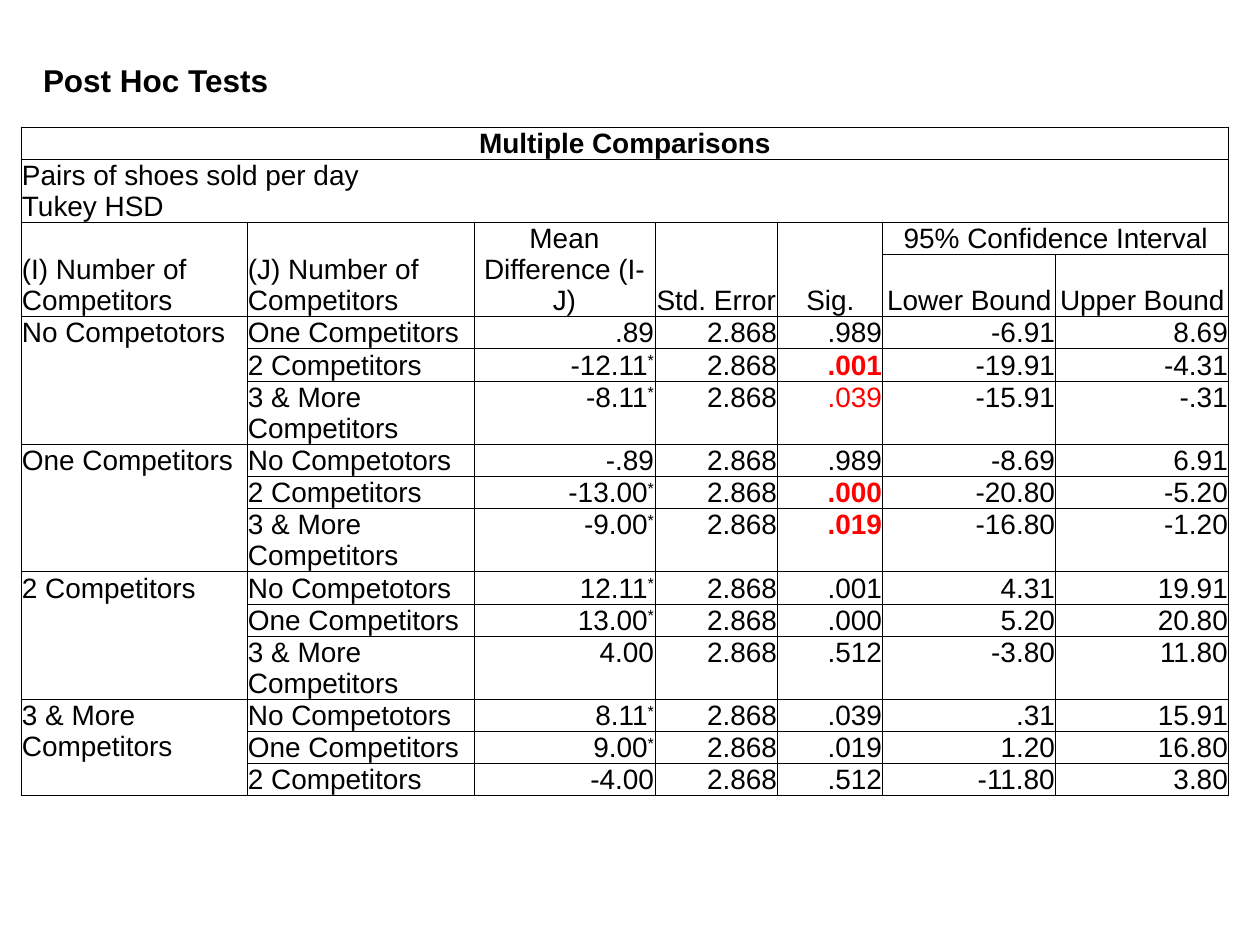
"""Build the slide of post hoc multiple comparisons."""
from dataclasses import dataclass

from lxml import etree
from pptx import Presentation
from pptx.dml.color import RGBColor
from pptx.enum.text import MSO_ANCHOR, PP_ALIGN
from pptx.oxml.ns import qn
from pptx.util import Emu, Pt

LEFT, CENTER, RIGHT = PP_ALIGN.LEFT, PP_ALIGN.CENTER, PP_ALIGN.RIGHT
TOP, MIDDLE, BOTTOM = MSO_ANCHOR.TOP, MSO_ANCHOR.MIDDLE, MSO_ANCHOR.BOTTOM
PX_PER_INCH = 126
BLANK = 6


@dataclass(frozen=True)
class Theme:
    font: str = "Arial"
    ink: str = "000000"
    accent: str = "FF0000"
    title_size: int = 18
    body_size: int = 16
    border: float = 0.5


COLUMNS = [226, 227, 181, 123, 105, 173, 173]
LINE = 24
HEADER_ROWS = [LINE, 35, LINE, 39]
STD_ERROR = "2.868"
ALPHA = 0.05
HIGHLIGHTED_GROUPS = 2
LIGHT_SIG = ".039"

HEADINGS = [
    (2, 0, 3, 0, "(I) Number of Competitors", LEFT),
    (2, 1, 3, 1, "(J) Number of Competitors", LEFT),
    (2, 2, 3, 2, "Mean Difference (I-J)", CENTER),
    (2, 3, 3, 3, "Std. Error", CENTER),
    (2, 4, 3, 4, "Sig.", CENTER),
    (2, 5, 2, 6, "95% Confidence Interval", CENTER),
    (3, 5, 3, 5, "Lower Bound", CENTER),
    (3, 6, 3, 6, "Upper Bound", CENTER),
]
LEVELS = ["No Competotors", "One Competitors", "2 Competitors", "3 & More Competitors"]
RESULTS = [
    [(".89", ".989", "-6.91", "8.69"),
     ("-12.11", ".001", "-19.91", "-4.31"),
     ("-8.11", ".039", "-15.91", "-.31")],
    [("-.89", ".989", "-8.69", "6.91"),
     ("-13.00", ".000", "-20.80", "-5.20"),
     ("-9.00", ".019", "-16.80", "-1.20")],
    [("12.11", ".001", "4.31", "19.91"),
     ("13.00", ".000", "5.20", "20.80"),
     ("4.00", ".512", "-3.80", "11.80")],
    [("8.11", ".039", ".31", "15.91"),
     ("9.00", ".019", "1.20", "16.80"),
     ("-4.00", ".512", "-11.80", "3.80")],
]


def px(length):
    return Emu(round(length * 914400 / PX_PER_INCH))


def write(frame, text, *, font, size, color, bold=False, align=LEFT, mark=""):
    para = frame.paragraphs[0]
    para.alignment = align
    for index, line in enumerate(text.split("\n")):
        if index:
            para.add_line_break()
        para.add_run().text = line
    if mark:
        span = para.add_run()
        span.text = mark
        span.font._element.set("baseline", "30000")
    for span in para.runs:
        span.font.name = font
        span.font.size = Pt(size)
        span.font.bold = bold
        span.font.color.rgb = RGBColor.from_string(color)


class SlideBuilder:
    """Hold the theme and the current slide."""

    def __init__(self, deck, theme):
        self.theme = theme
        self.slide = deck.slides.add_slide(deck.slide_layouts[BLANK])

    def table(self, left, top, widths, heights, *, height, bordered=True):
        frame = self.slide.shapes.add_table(
            len(heights), len(widths), px(left), px(top), px(sum(widths)), px(height))
        table = frame.table
        table.first_row = table.horz_banding = False
        for column, width in zip(table.columns, widths):
            column.width = px(width)
        for row, row_height in zip(table.rows, heights):
            row.height = px(row_height)
        frame.height = px(height)
        for cell in table.iter_cells():
            cell.fill.background()
            self.borders(cell, bordered)
        return table

    def borders(self, cell, visible):
        properties = cell._tc.get_or_add_tcPr()
        for index, side in enumerate(("lnL", "lnR", "lnT", "lnB")):
            line = etree.Element(qn(f"a:{side}"), w=str(Pt(self.theme.border)))
            fill = etree.SubElement(line, qn("a:solidFill" if visible else "a:noFill"))
            if visible:
                etree.SubElement(fill, qn("a:srgbClr"), val=self.theme.ink)
            properties.insert(index, line)

    def cell(self, table, row, column, text, *, to=None, anchor=TOP,
             size=None, color=None, **style):
        cell = table.cell(row, column)
        if to and to != (row, column):
            cell.merge(table.cell(*to))
        cell.vertical_anchor = anchor
        cell.margin_left = cell.margin_right = cell.margin_top = px(1)
        cell.margin_bottom = 0
        write(cell.text_frame, text, font=self.theme.font,
              size=size or self.theme.body_size, color=color or self.theme.ink, **style)


def fill_header(builder, table):
    last = len(COLUMNS) - 1
    builder.cell(table, 0, 0, "Multiple Comparisons", to=(0, last),
                 bold=True, align=CENTER, anchor=MIDDLE)
    builder.cell(table, 1, 0, "Pairs of shoes sold per day\nTukey HSD", to=(1, last),
                 anchor=BOTTOM)
    for row, column, end_row, end_column, text, align in HEADINGS:
        builder.cell(table, row, column, text, to=(end_row, end_column),
                     align=align, anchor=BOTTOM)


def fill_results(builder, table):
    row = len(HEADER_ROWS)
    for group, (level, results) in enumerate(zip(LEVELS, RESULTS)):
        builder.cell(table, row, 0, level, to=(row + len(results) - 1, 0))
        others = [other for other in LEVELS if other != level]
        for other, (mean, sig, lower, upper) in zip(others, results):
            significant = float(sig) < ALPHA
            highlighted = significant and group < HIGHLIGHTED_GROUPS
            builder.cell(table, row, 1, other)
            builder.cell(table, row, 2, mean, align=RIGHT, mark="*" if significant else "")
            builder.cell(table, row, 4, sig, align=RIGHT,
                         color=builder.theme.accent if highlighted else None,
                         bold=highlighted and sig != LIGHT_SIG)
            for column, value in ((3, STD_ERROR), (5, lower), (6, upper)):
                builder.cell(table, row, column, value, align=RIGHT)
            row += 1


def main():
    deck = Presentation()
    deck.slide_width, deck.slide_height = px(1260), px(945)
    builder = SlideBuilder(deck, Theme())
    heights = HEADER_ROWS + [LINE] * sum(map(len, RESULTS))
    comparisons = builder.table(21, 127, COLUMNS, heights, height=723)
    fill_header(builder, comparisons)
    fill_results(builder, comparisons)
    heading = builder.table(42, 63, [242], [35], height=39, bordered=False)
    builder.cell(heading, 0, 0, "Post Hoc Tests", size=builder.theme.title_size,
                 bold=True, anchor=BOTTOM)
    deck.save("out.pptx")


if __name__ == "__main__":
    main()
